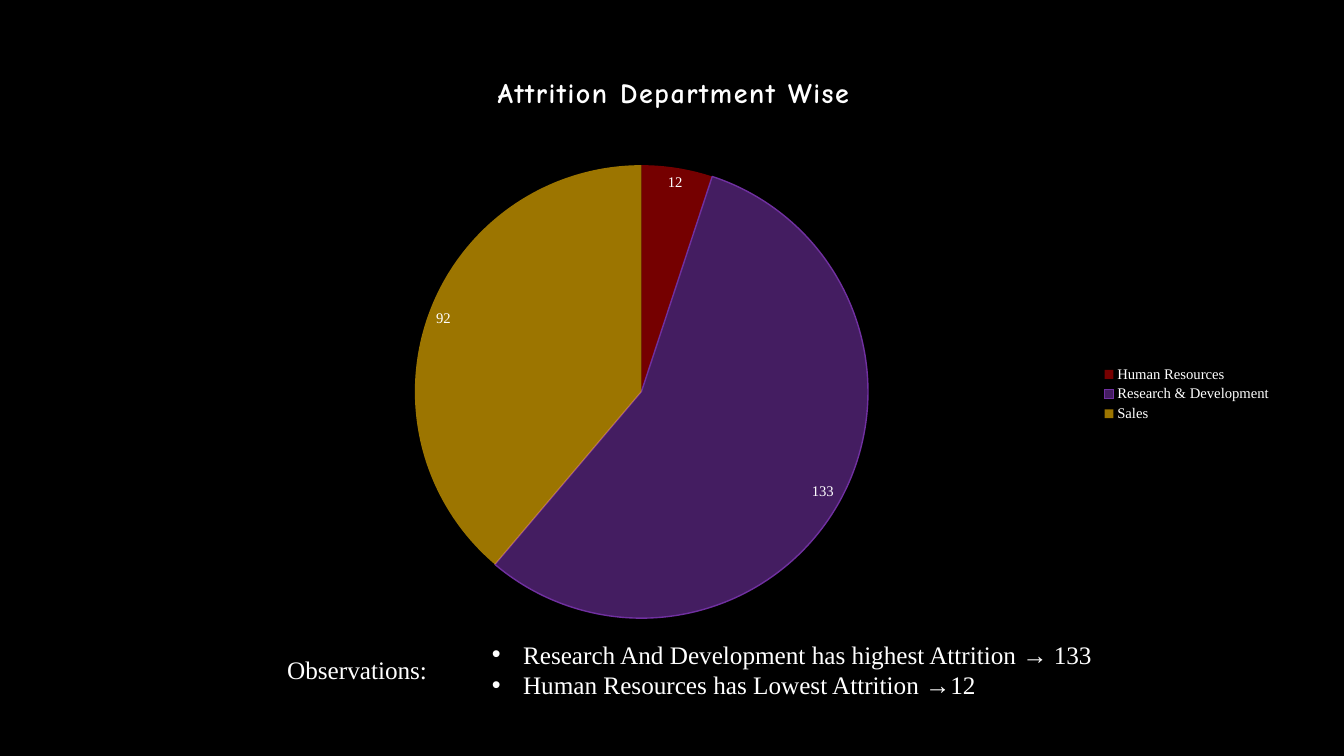
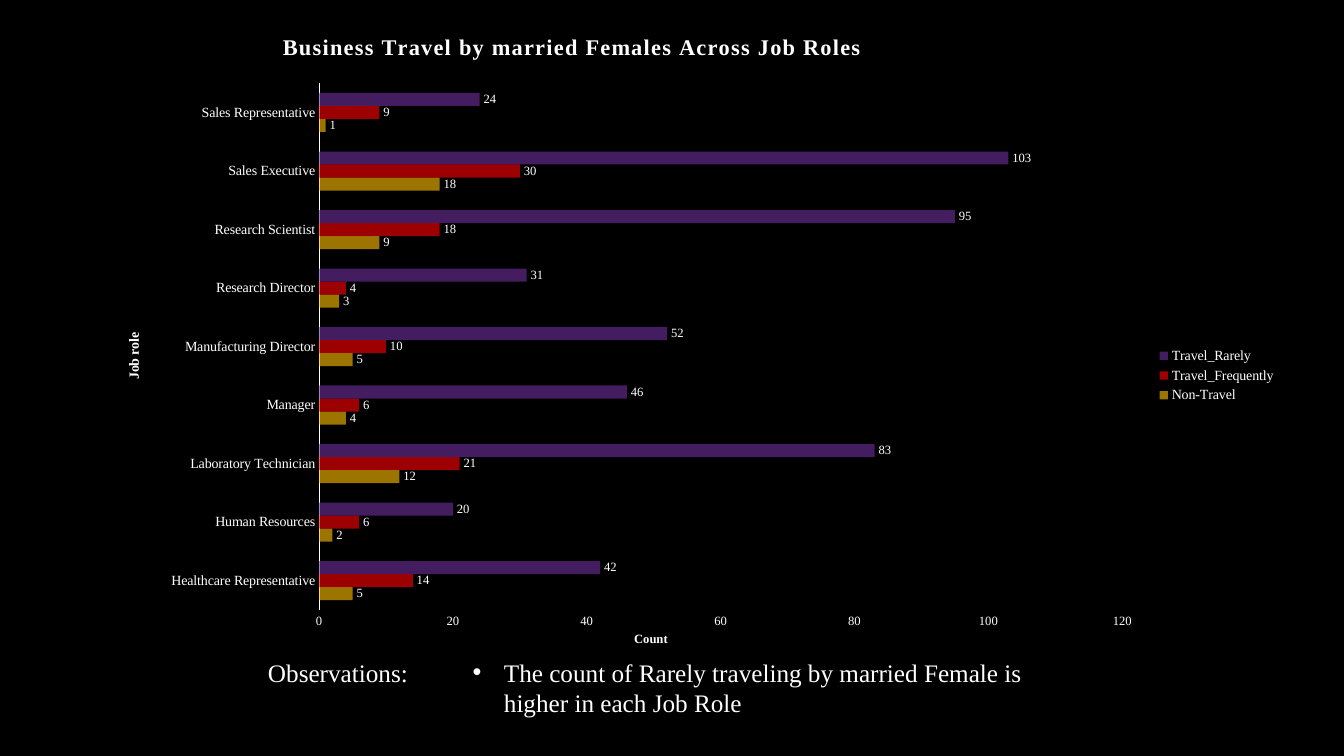
from lxml import etree
from pptx import Presentation
from pptx.chart.data import CategoryChartData
from pptx.dml.color import RGBColor
from pptx.enum.chart import XL_CHART_TYPE, XL_LABEL_POSITION, XL_LEGEND_POSITION, XL_TICK_MARK
from pptx.enum.text import MSO_AUTO_SIZE
from pptx.oxml.ns import qn
from pptx.util import Inches, Pt

PIE, BARS = XL_CHART_TYPE.PIE, XL_CHART_TYPE.BAR_CLUSTERED
BEST_FIT, OUTSIDE_END = XL_LABEL_POSITION.BEST_FIT, XL_LABEL_POSITION.OUTSIDE_END
LEGEND_RIGHT = XL_LEGEND_POSITION.RIGHT
NO_TICK = XL_TICK_MARK.NONE
GROW = MSO_AUTO_SIZE.SHAPE_TO_FIT_TEXT

BLACK = RGBColor(0x00, 0x00, 0x00)
WHITE = RGBColor(0xFF, 0xFF, 0xFF)
CRIMSON = RGBColor(0xC0, 0x00, 0x00)
RED = RGBColor(0xFF, 0x00, 0x00)
PURPLE = RGBColor(0x70, 0x30, 0xA0)
GOLD = RGBColor(0xFF, 0xC0, 0x00)
OPACITY = 61
SERIF, COMIC = "Times New Roman", "Comic Neue"
BULLET_INDENT = Inches(0.31)

# Boxes are in inches; "plot" and "title_at" are percentages of the chart.
DEPARTMENTS = {
    "kind": PIE,
    "box": (0.61, 0.51, 12.11, 6.8),
    "plot": (15.9, 16.6, 63.2, 66.1),
    "title": "Attrition Department Wise",
    "title_at": (35.3, 2.7),
    "title_format": {"size": Pt(20), "name": COMIC, "bold": True},
    "categories": ["Human Resources", "Research & Development", "Sales"],
    "series": {"Series 1": [12, 133, 92]},
    "colors": [CRIMSON, PURPLE, GOLD],
    "label_position": BEST_FIT,
    "label_size": 10.5,
    "legend_size": 10.5,
    "heading_box": (2.75, 6.44, 2.03, 0.4),
    "notes_box": (4.78, 6.29, 6.56, 0.71),
    "observations": [
        "Research And Development has highest Attrition → 133",
        "Human Resources has Lowest Attrition →12",
    ],
}
TRAVEL = {
    "kind": BARS,
    "box": (0.69, 0.19, 12.07, 7.07),
    "plot": (20.5, 9, 66, 73.9),
    "title": "Business Travel by married Females Across Job Roles",
    "title_at": (17.2, 1.3),
    "title_format": {"size": Pt(16), "name": SERIF, "bold": True},
    "categories": [
        "Healthcare Representative", "Human Resources", "Laboratory Technician",
        "Manager", "Manufacturing Director", "Research Director",
        "Research Scientist", "Sales Executive", "Sales Representative",
    ],
    "series": {
        "Non-Travel": [5, 2, 12, 4, 5, 3, 9, 18, 1],
        "Travel_Frequently": [14, 6, 21, 6, 10, 4, 18, 30, 9],
        "Travel_Rarely": [42, 20, 83, 46, 52, 31, 95, 103, 24],
    },
    "colors": [GOLD, RED, PURPLE],
    "label_position": OUTSIDE_END,
    "label_size": 9,
    "legend_size": 10,
    "heading_box": (2.56, 6.47, 2.03, 0.4),
    "notes_box": (4.59, 6.47, 5.87, 0.71),
    "observations": [
        "The count of Rarely traveling by married Female is higher in each Job Role",
    ],
}


def set_font(font, size, **extra):
    values = {"size": Pt(size), "name": SERIF, **extra}
    for attribute, value in values.items():
        setattr(font, attribute, value)
    font.color.rgb = WHITE


def add_text(slide, box, lines, bulleted=False):
    frame = slide.shapes.add_textbox(*map(Inches, box)).text_frame
    frame.word_wrap = True
    frame.auto_size = GROW
    for index, line in enumerate(lines):
        paragraph = frame.add_paragraph() if index else frame.paragraphs[0]
        if bulleted:
            properties = paragraph._p.get_or_add_pPr()
            properties.set("marL", str(BULLET_INDENT))
            properties.set("indent", str(-BULLET_INDENT))
            etree.SubElement(properties, qn("a:buFont"), typeface="Arial")
            etree.SubElement(properties, qn("a:buChar"), char="•")
        run = paragraph.add_run()
        run.text = line
        set_font(run.font, 18)


def place(part, **percents):
    """Give a chart part a manual layout in percentages of the chart."""
    for old in part.findall(qn("c:layout")):
        part.remove(old)
    layout = etree.Element(qn("c:layout"))
    manual = etree.SubElement(layout, qn("c:manualLayout"))
    if "w" in percents:
        etree.SubElement(manual, qn("c:layoutTarget"), val="inner")
    for key in ("x", "y"):
        etree.SubElement(manual, qn(f"c:{key}Mode"), val="edge")
    for key, value in percents.items():
        etree.SubElement(manual, qn(f"c:{key}"), val=str(value / 100))
    part.insert(0 if part.find(qn("c:tx")) is None else 1, layout)


def write_title(title, text, at, size, spacing=0, **extra):
    title.text_frame.text = text
    run = title.text_frame.paragraphs[0].runs[0]
    set_font(run.font, size, **extra)
    run._r.get_or_add_rPr().set("spc", str(spacing))
    place(title._element, x=at[0], y=at[1])


def clear_background(chart):
    space = chart._chartSpace
    plot_area = space.chart.plotArea
    for parent, index in ((space, space.index(space.chart) + 1), (plot_area, len(plot_area))):
        properties = etree.Element(qn("c:spPr"))
        etree.SubElement(properties, qn("a:noFill"))
        line = etree.SubElement(properties, qn("a:ln"))
        etree.SubElement(line, qn("a:noFill"))
        parent.insert(index, properties)


def paint(part, color):
    """Fill a bar series or pie slice with a see-through colour."""
    part.format.fill.solid()
    part.format.fill.fore_color.rgb = color
    swatch = part.format.fill._xPr.find(".//" + qn("a:srgbClr"))
    etree.SubElement(swatch, qn("a:alpha"), val=str(OPACITY * 1000))
    part.format.line.fill.background()


def style_axes(chart):
    jobs, count = chart.category_axis, chart.value_axis
    for axis, size in ((jobs, 10), (count, 9)):
        axis.major_tick_mark = axis.minor_tick_mark = NO_TICK
        axis.has_major_gridlines = False
        set_font(axis.tick_labels.font, size)
    jobs.format.line.color.rgb = WHITE
    jobs.format.line.width = Pt(0.75)
    count.format.line.fill.background()
    count.minimum_scale, count.maximum_scale, count.major_unit = 0, 120, 20
    write_title(jobs.axis_title, "Job role", (4.3, 43.6), 10, bold=True)
    jobs.axis_title.text_frame._txBody.bodyPr.set("rot", "-5400000")
    write_title(count.axis_title, "Count", (46.2, 85.5), 9, bold=True)


def add_chart(slide, content):
    data = CategoryChartData()
    data.categories = content["categories"]
    for name, values in content["series"].items():
        data.add_series(name, values)
    chart = slide.shapes.add_chart(content["kind"], *map(Inches, content["box"]), data).chart
    set_font(chart.font, 10)
    clear_background(chart)
    place(chart._chartSpace.chart.plotArea, **dict(zip("xywh", content["plot"])))

    chart.has_title = True
    title_format = dict(content["title_format"])
    write_title(chart.chart_title, content["title"], content["title_at"],
                title_format.pop("size").pt, spacing=100, **title_format)
    chart.has_legend = True
    chart.legend.position = LEGEND_RIGHT
    chart.legend.include_in_layout = False
    set_font(chart.legend.font, content["legend_size"])

    plot = chart.plots[0]
    plot.has_data_labels = True
    plot.data_labels.show_value = True
    plot.data_labels.position = content["label_position"]
    set_font(plot.data_labels.font, content["label_size"])

    if content["kind"] == PIE:
        parts = [plot.series[0].points[i] for i in range(len(content["categories"]))]
    else:
        parts = plot.series
        plot.vary_by_categories = False
        plot.gap_width, plot.overlap = 150, 0
        style_axes(chart)
    for part, color in zip(parts, content["colors"]):
        paint(part, color)
    if content["kind"] == PIE:
        research_line = parts[1].format.line
        research_line.color.rgb = PURPLE
        research_line.width = Pt(1)


def main():
    deck = Presentation()
    deck.slide_width, deck.slide_height = Inches(13.33), Inches(7.5)
    backdrop = deck.slide_master.background.fill
    backdrop.solid()
    backdrop.fore_color.rgb = BLACK
    for content in (DEPARTMENTS, TRAVEL):
        slide = deck.slides.add_slide(deck.slide_layouts[6])
        add_text(slide, content["notes_box"], content["observations"], bulleted=True)
        add_text(slide, content["heading_box"], ["Observations:"])
        add_chart(slide, content)
    deck.save("out.pptx")


if __name__ == "__main__":
    main()
